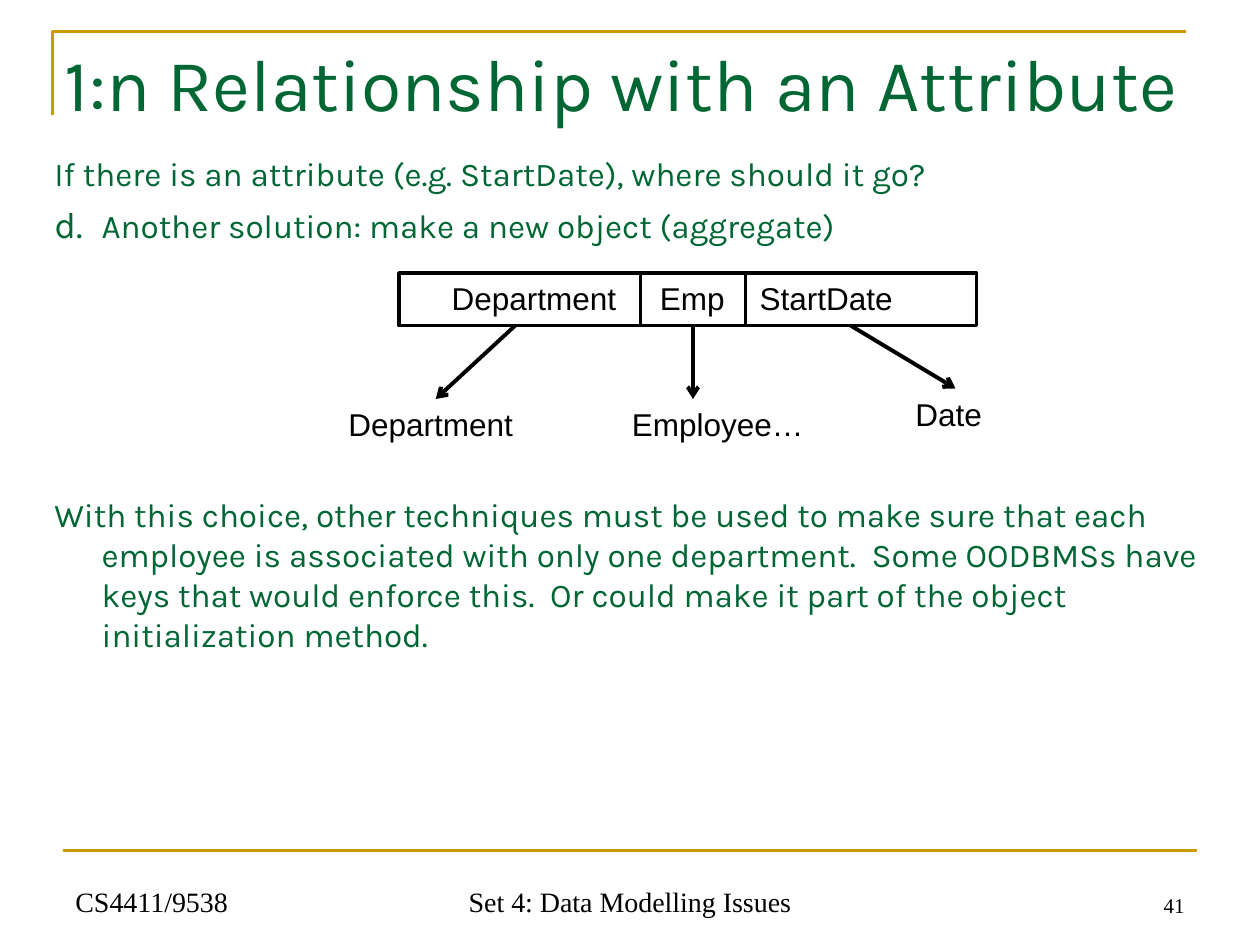
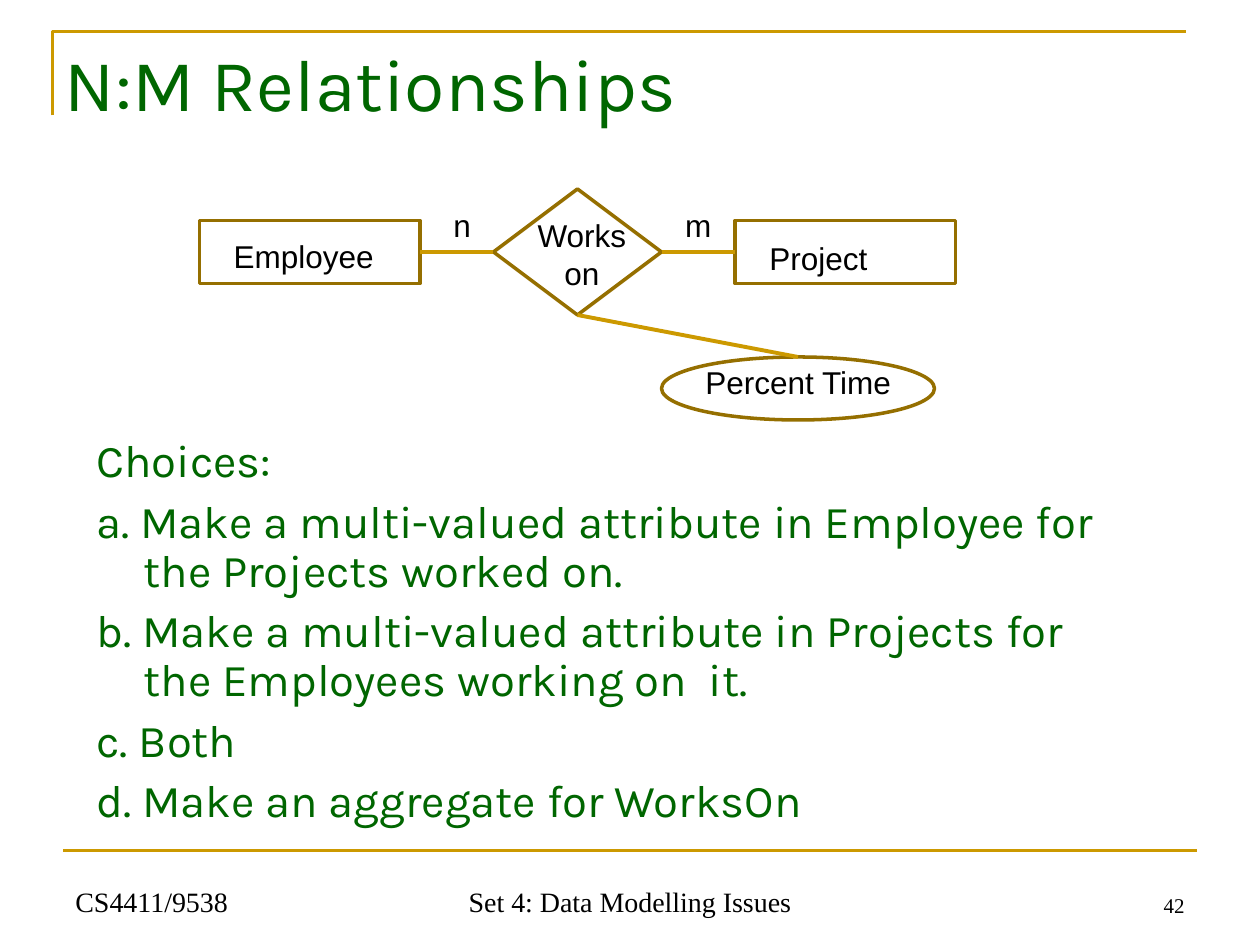
"""Build two slides on data modelling relationships."""
from lxml import etree
from pptx import Presentation
from pptx import util as u
from pptx.dml import color
from pptx.enum import shapes, text
from pptx.oxml import ns

Pt = u.Pt
COLORS = {"gold": "CC9900", "bronze": "956F00", "black": "000000",
          "pine": "006633", "green": "006600"}
KINDS = shapes.MSO_SHAPE
ALIGN = text.PP_ALIGN
LABEL_H = 29


def rgb(name):
    """Return the named colour."""
    return color.RGBColor.from_string(COLORS[name])


class Deck:
    """Hold the presentation, its style and the current slide."""

    def __init__(self):
        """Start an empty deck of 10 by 7.5 inches."""
        self.prs = Presentation()
        self.prs.slide_width, self.prs.slide_height = Pt(720), Pt(540)
        self.s = None
        self.ink = "green"

    def slide(self, title, number, ink, title_width):
        """Add a slide with its frame, footers and title."""
        self.s = self.prs.slides.add_slide(self.prs.slide_layouts[6])
        self.ink = ink
        self.corner()
        self.line((36, 486), (684, 486), "gold", 1.5)
        self.footer("CS4411/9538", 36, 168)
        self.footer("Set 4: Data Modelling Issues", 246, 228, ALIGN.CENTER)
        self.footer(str(number), 516, 168, ALIGN.RIGHT, 12)
        self.text([title], (30, 18, title_width, 90), 42, "Karla", ink)

    def corner(self):
        """Draw the open frame around the title."""
        fb = self.s.shapes.build_freeform(Pt(30), Pt(66))
        fb.add_line_segments([(Pt(30), Pt(18)), (Pt(678), Pt(18))], close=False)
        self.outline(fb.convert_to_shape(), "gold", 1.5)

    def outline(self, sp, ink, width):
        """Give a shape a plain outline without fill or shadow."""
        sp.shadow.inherit = False
        sp.fill.background()
        sp.line.color.rgb = rgb(ink)
        sp.line.width = Pt(width)

    def shape(self, kind, box, ink):
        """Add an outlined preset shape."""
        sp = self.s.shapes.add_shape(kind, *map(Pt, box))
        self.outline(sp, ink, 2)
        return sp

    def line(self, start, end, ink="black", width=2.25, arrow=False):
        """Add a straight line between two points."""
        c = self.s.shapes.add_connector(
            shapes.MSO_CONNECTOR.STRAIGHT, *map(Pt, start + end))
        c.line.color.rgb = rgb(ink)
        c.line.width = Pt(width)
        if arrow:
            etree.SubElement(c.line._get_or_add_ln(), ns.qn("a:tailEnd"), type="arrow")
        etree.SubElement(c._element.spPr, ns.qn("a:effectLst"))
        return c

    def join(self, first, side1, second, side2):
        """Link two shapes with a gold line."""
        c = self.line((0, 0), (0, 0), "gold")
        c.begin_connect(first, side1)
        c.end_connect(second, side2)

    def text(self, lines, box, size, font, ink, align=ALIGN.LEFT):
        """Add a wrapped text box with one paragraph a line."""
        tf = self.s.shapes.add_textbox(*map(Pt, box)).text_frame
        tf.word_wrap = True
        for i, line in enumerate(lines):
            p = tf.add_paragraph() if i else tf.paragraphs[0]
            p.text = line
            p.alignment = align
            p.font.name, p.font.size = font, Pt(size)
            p.font.color.rgb = rgb(ink)
        return tf

    def footer(self, line, left, width, align=ALIGN.LEFT, size=16):
        """Add a footer entry."""
        tf = self.text([line], (left, 492, width, 36), size,
                       "Times New Roman", "black", align)
        tf.vertical_anchor = text.MSO_ANCHOR.BOTTOM

    def body(self, lines, box, size, before, spacing=1.0):
        """Add body paragraphs with a hanging indent."""
        tf = self.text(lines, box, size, "Karla", self.ink)
        for i, p in enumerate(tf.paragraphs):
            p.space_before = Pt(before if i else 0)
            p.line_spacing = spacing
            pPr = p._p.get_or_add_pPr()
            pPr.set("marL", str(Pt(27)))
            pPr.set("indent", str(Pt(-27)))
        return tf

    def label(self, line, left, top, width):
        """Add a diagram label."""
        self.text([line], (left, top, width, LABEL_H), 18, "Arial", "black")


def aggregate_slide(d):
    """Build the slide on a relationship with an attribute."""
    d.slide("1:n Relationship with an Attribute", 41, "pine", 696)
    tf = d.body(["If there is an attribute (e.g. StartDate), where should it go?", "d.\t"],
                (24, 84, 678, 66), 19, 4.8)
    p = tf.paragraphs[1]
    p.runs[0].font.size = Pt(21)
    r = p.add_run()
    r.text = "Another solution: make a new object (aggregate)"
    d.body(["With this choice, other techniques must be used to make sure that each "
            "employee is associated with only one department.  Some OODBMSs have keys "
            "that would enforce this.  Or could make it part of the object "
            "initialization method."], (24, 279, 678, 100), 19, 4.8)
    top, bottom = 156, 186
    d.shape(KINDS.RECTANGLE, (228, top, 330, bottom - top), "black")
    for x in (366, 426):
        d.line((x, top), (x, bottom))
    for line, left, width in (("Department", 251, 115), ("Emp", 370, 56),
                              ("StartDate", 427, 100)):
        d.label(line, left, top, width)
    for x, end in ((294.5, (249, 228)), (396, (396, 228)), (486, (546, 222))):
        d.line((x, bottom), end, arrow=True)
    for line, left, y in (("Department", 192, 228), ("Employee…", 354, 228),
                          ("Date", 516, 222)):
        d.label(line, left, y, 115)


def many_to_many_slide(d):
    """Build the slide on N:M relationships."""
    d.slide("N:M Relationships", 42, "green", 612)
    d.body(["Choices:",
            "a. Make a multi-valued attribute in Employee for the Projects worked on.",
            "b. Make a multi-valued attribute in Projects for the Employees working on  it.",
            "c. Both",
            "d. Make an aggregate for WorksOn"], (48, 247, 612, 233), 26, 6.5, 0.9)
    employee, project = (d.shape(KINDS.RECTANGLE, (x, 126, 126, 36), "bronze")
                         for x in (114, 420))
    works_on = d.shape(KINDS.FLOWCHART_DECISION, (282, 108, 96, 72), "bronze")
    percent = d.shape(KINDS.OVAL, (378, 204, 156, 36), "bronze")
    d.join(employee, 3, works_on, 1)
    d.join(works_on, 3, project, 1)
    d.join(works_on, 2, percent, 0)
    d.text(["Works", "on"], (297, 120, 71, 50), 18, "Arial", "black", ALIGN.CENTER)
    for line, left, top, width in (("Employee", 126.5, 132, 100), ("Project", 432.5, 133, 76),
                                   ("n", 252, 114, 36), ("m", 384.5, 114, 36),
                                   ("Percent Time", 396, 204, 126)):
        d.label(line, left, top, width)


def main():
    """Build and save the deck."""
    d = Deck()
    aggregate_slide(d)
    many_to_many_slide(d)
    d.prs.save("out.pptx")


if __name__ == "__main__":
    main()
